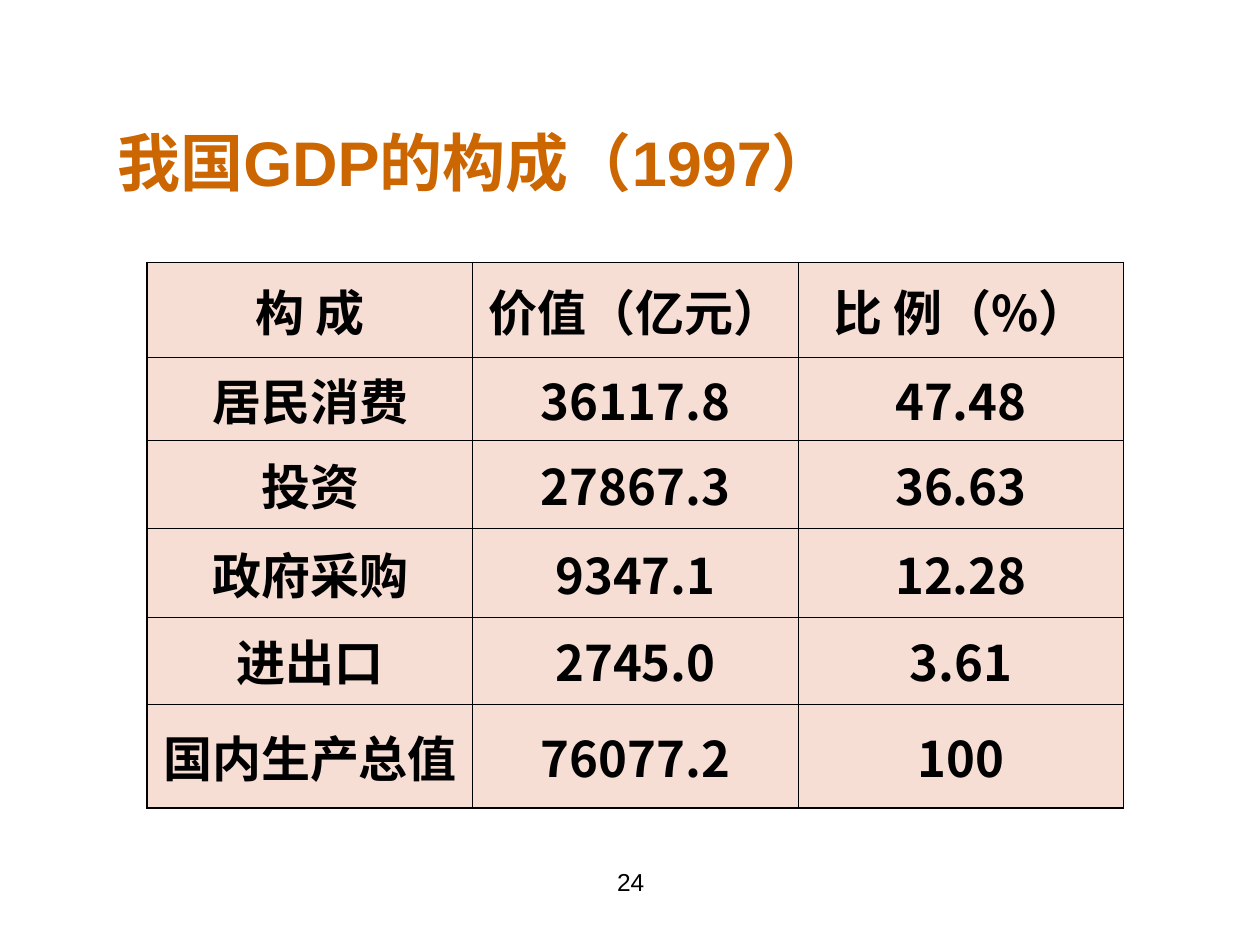
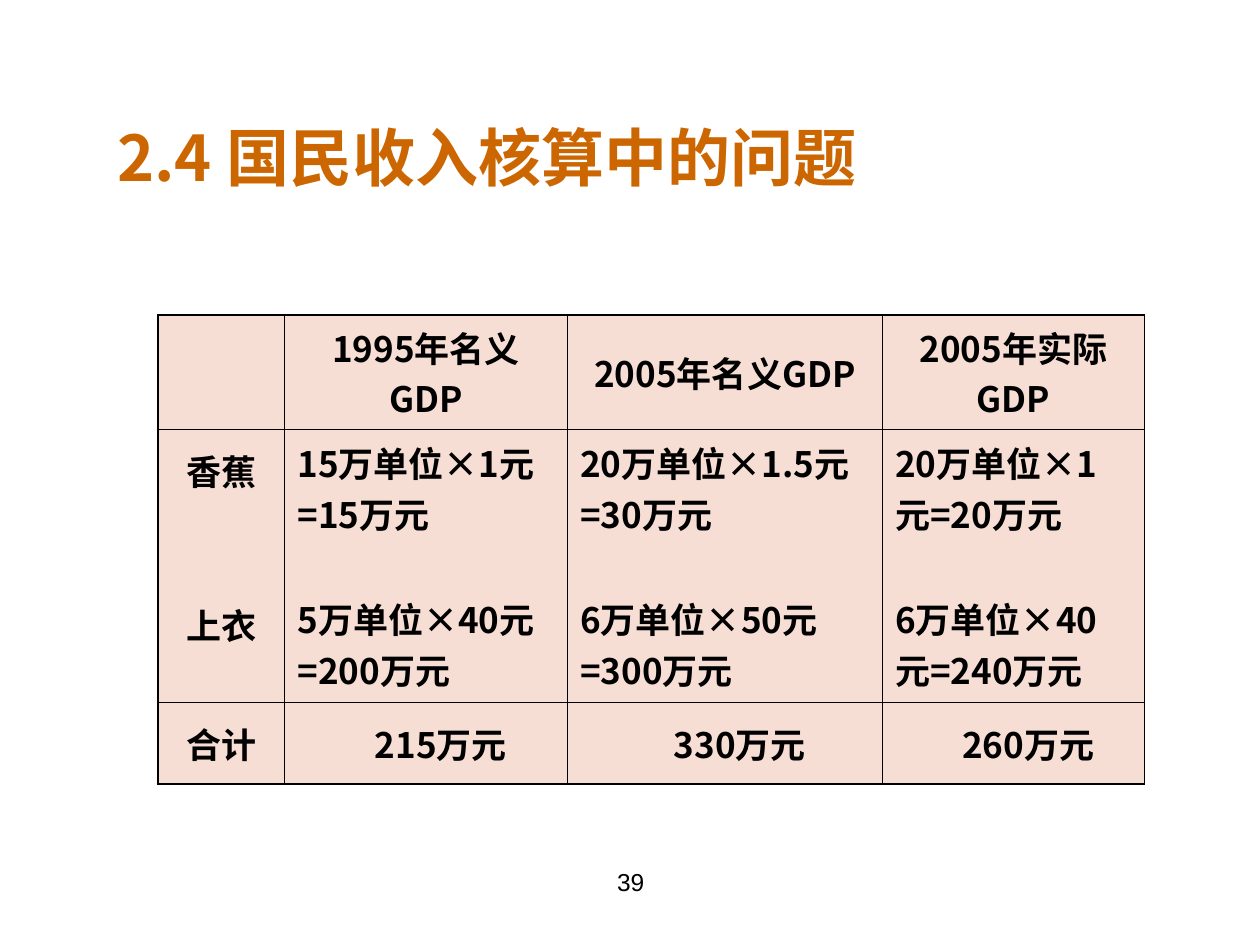
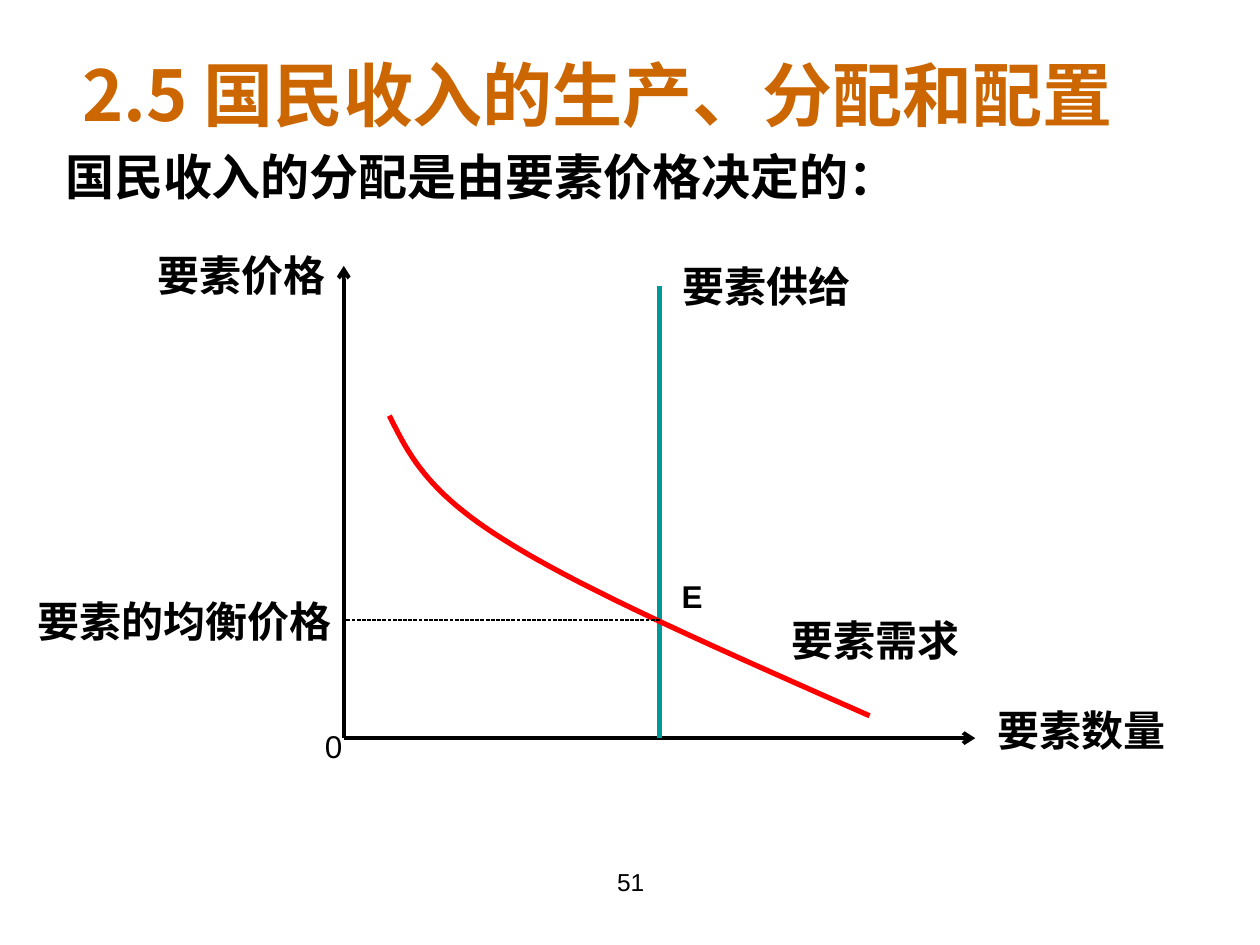
from itertools import accumulate

from lxml.etree import SubElement
from pptx import Presentation
from pptx.dml.color import RGBColor
from pptx.enum.dml import MSO_LINE
from pptx.enum.shapes import MSO_CONNECTOR
from pptx.enum.text import MSO_ANCHOR, MSO_AUTO_SIZE, PP_ALIGN
from pptx.oxml import parse_xml
from pptx.oxml.ns import nsdecls, qn
from pptx.util import Cm, Pt

LATIN = "Arial"
CHINESE = "Noto Sans CJK SC"
BLACK = "000000"
TITLE_COLOUR = "CC6600"
CELL_COLOUR = "F1BFAD"
SUPPLY_COLOUR = "009999"
DEMAND_COLOUR = "FF0000"
OUTER_RULE, INNER_RULE = 1.08, 0.45
CONTENT_LAYOUT, TITLE_LAYOUT = 1, 5


def paint(colour_format, colour):
    colour_format.rgb = RGBColor.from_string(colour)


def style(paragraph, size, font=CHINESE, colour=BLACK, bold=True,
          align=PP_ALIGN.LEFT, before=0):
    paragraph.alignment = align
    paragraph.space_before = Pt(before)
    paragraph.font.size = Pt(size)
    paragraph.font.bold = bold
    paragraph.font.name = font
    paint(paragraph.font.color, colour)
    defaults = paragraph._p.pPr.find(qn("a:defRPr"))
    SubElement(defaults, qn("a:ea")).set("typeface", CHINESE)


def place(shape, box):
    shape.left, shape.top, shape.width, shape.height = map(Cm, box)


def add_text(slide, box, text, size, anchor=MSO_ANCHOR.TOP, wrap=True, **look):
    frame = slide.shapes.add_textbox(*map(Cm, box)).text_frame
    frame.word_wrap = wrap
    frame.vertical_anchor = anchor
    frame.text = text
    style(frame.paragraphs[0], size, **look)


def add_page(deck, layout, heading, heading_box, number, size=36, font=CHINESE):
    slide = deck.slides.add_slide(deck.slide_layouts[layout])
    title = slide.shapes.title
    place(title, heading_box)
    frame = title.text_frame
    frame.text = heading
    frame.auto_size = MSO_AUTO_SIZE.NONE
    frame.vertical_anchor = MSO_ANCHOR.MIDDLE
    style(frame.paragraphs[0], size, font, TITLE_COLOUR)
    add_text(slide, (8.69, 17.35, 8.05, 1.32), number, 14, font=LATIN,
             bold=False, align=PP_ALIGN.CENTER)
    return slide


def add_borders(cell, on_edge):
    properties = cell._tc.get_or_add_tcPr()
    for position, side in enumerate("LRTB"):
        width = Pt(OUTER_RULE if on_edge[side] else INNER_RULE)
        properties.insert(position, parse_xml(
            f'<a:ln{side} {nsdecls("a")} w="{width}"><a:solidFill>'
            f'<a:srgbClr val="{BLACK}"/></a:solidFill></a:ln{side}>'))


def fill_cell(cell, text, size):
    cell.fill.solid()
    paint(cell.fill.fore_color, CELL_COLOUR)
    tint = cell._tc.tcPr.find(".//" + qn("a:srgbClr"))
    SubElement(tint, qn("a:alpha")).set("val", "50000")
    cell.vertical_anchor = MSO_ANCHOR.MIDDLE
    cell.text = text
    for paragraph in cell.text_frame.paragraphs:
        style(paragraph, size, align=PP_ALIGN.CENTER)


def add_grid(slide, left, top, widths, heights, rows, size):
    table = slide.shapes.add_table(
        len(heights), len(widths), Cm(left), Cm(top),
        Cm(sum(widths)), Cm(sum(heights))).table
    table.first_row = table.horz_banding = False
    for column, width in zip(table.columns, widths):
        column.width = Cm(width)
    for row, height in zip(table.rows, heights):
        row.height = Cm(height)
    last_row, last_column = len(heights) - 1, len(widths) - 1
    for r, row in enumerate(rows):
        for c, text in enumerate(row):
            cell = table.cell(r, c)
            fill_cell(cell, text, size)
            add_borders(cell, {"L": c == 0, "R": c == last_column,
                               "T": r == 0, "B": r == last_row})
    return table


def composition_page(deck):
    slide = add_page(deck, TITLE_LAYOUT, "我国GDP的构成（1997）",
                     (2.11, 2.34, 20.95, 1.83), "24", font=LATIN)
    rows = [
        ("构 成", "价值（亿元）", "比 例（%）"),
        ("居民消费", "36117.8", "47.48"),
        ("投资", "27867.3", "36.63"),
        ("政府采购", "9347.1", "12.28"),
        ("进出口", "2745.0", "3.61"),
        ("国内生产总值", "76077.2", "100"),
    ]
    add_grid(slide, 2.97, 5.29, [6.56] * 3,
             [1.91, 1.68, 1.78, 1.78, 1.75, 2.1], rows, 28)


def real_gdp_page(deck):
    slide = add_page(deck, TITLE_LAYOUT, "2.4 国民收入核算中的问题",
                     (2.11, 2.05, 19.9, 2.2), "39")
    rows = [
        ("", "1995年名义GDP", "2005年名义GDP", "2005年实际GDP"),
        ("香蕉\n上衣",
         "15万单位×1元=15万元\n5万单位×40元=200万元",
         "20万单位×1.5元=30万元\n6万单位×50元=300万元",
         "20万单位×1元=20万元\n6万单位×40元=240万元"),
        ("合计", "215万元", "330万元", "260万元"),
    ]
    table = add_grid(slide, 3.18, 6.35, [2.56, 5.7, 6.35, 5.28],
                     [2.3, 5.5, 1.65], rows, 20)
    goods = table.cell(1, 0)
    goods.margin_bottom = Cm(0.86)
    goods.text_frame.paragraphs[1].space_before = Pt(59)
    for column in range(1, 4):
        sums = table.cell(1, column).text_frame.paragraphs
        for line in sums:
            line.alignment = PP_ALIGN.LEFT
        sums[1].space_before = Pt(31)
        table.cell(2, column).margin_left = Cm(0.85)


def add_rule(slide, start, end, width, colour=BLACK, arrow=False, dash=None):
    rule = slide.shapes.add_connector(
        MSO_CONNECTOR.STRAIGHT, *map(Cm, (*start, *end)))
    rule.line.width = Pt(width)
    paint(rule.line.color, colour)
    if dash:
        rule.line.dash_style = dash
    if arrow:
        tip = SubElement(rule.line._get_or_add_ln(), qn("a:tailEnd"))
        tip.set("type", "arrow")
    SubElement(rule._element.spPr, qn("a:effectLst"))


def bezier(p0, p1, p2, p3, steps=24):
    for step in range(1, steps + 1):
        t = step / steps
        u = 1 - t
        yield tuple(u**3 * a + 3 * u * u * t * b + 3 * u * t * t * c + t**3 * d
                    for a, b, c, d in zip(p0, p1, p2, p3))


def add_demand(slide, points):
    route = [*bezier(*points[:4]), *bezier(*points[3:])]
    builder = slide.shapes.build_freeform(*map(Cm, points[0]))
    builder.add_line_segments([(Cm(x), Cm(y)) for x, y in route], close=False)
    demand = builder.convert_to_shape()
    demand.shadow.inherit = False
    demand.fill.background()
    demand.line.width = Pt(3)
    paint(demand.line.color, DEMAND_COLOUR)


def factor_market(slide, left, top):
    def at(x, y):
        return left + x, top + y

    axis_x, axis_y, supply_x, price_y = 6.43, 9.98, 12.8, 7.6
    origin = at(axis_x, axis_y)
    add_rule(slide, origin, at(19.16, axis_y), 2.25, arrow=True)
    add_rule(slide, origin, at(axis_x, 0.46), 2.25, arrow=True)
    add_rule(slide, at(supply_x, 0.87), at(supply_x, axis_y), 3, SUPPLY_COLOUR)
    add_demand(slide, [at(*point) for point in (
        (7.35, 3.48), (7.73, 4.24), (8.09, 5.01), (9.69, 6),
        (11.29, 7.01), (14.16, 8.26), (17.03, 9.53))])
    add_rule(slide, at(supply_x, price_y), at(axis_x, price_y), 0.75,
             dash=MSO_LINE.SQUARE_DOT)

    names = [
        ("要素数量", 19.36, 9.2, 3.89),
        ("要素需求", 15.2, 7.39, 3.89),
        ("要素供给", 13.01, 0.26, 3.89),
        ("要素的均衡价格", 0.01, 7.01, 6.43),
        ("要素价格", 2.42, 0.03, 3.89),
    ]
    for name, x, y, width in names:
        add_text(slide, (*at(x, y), width, 1.22), name, 24,
                 MSO_ANCHOR.MIDDLE, False, font=LATIN)
    for mark, x, y, bold in (("0", 5.8, 9.63, False), ("E", 12.99, 6.61, True)):
        add_text(slide, (*at(x, y), 0.88, 1.02), mark, 18,
                 MSO_ANCHOR.MIDDLE, False, font=LATIN, bold=bold)


def distribution_page(deck):
    slide = add_page(deck, CONTENT_LAYOUT, "2.5 国民收入的生产、分配和配置",
                     (1.4, 0.58, 22.86, 2.62), "51", size=40)
    claim = slide.placeholders[1]
    place(claim, (0.58, 2.82, 23.65, 1.6))
    frame = claim.text_frame
    frame.text = "国民收入的分配是由要素价格决定的："
    frame.auto_size = MSO_AUTO_SIZE.NONE
    properties = frame.paragraphs[0]._p.get_or_add_pPr()
    properties.set("marL", str(Cm(0.48)))
    properties.set("indent", "0")
    SubElement(properties, qn("a:buNone"))
    style(frame.paragraphs[0], 28)
    factor_market(slide, 0.5, 4.9)


def main():
    deck = Presentation()
    deck.slide_width, deck.slide_height = Cm(25.4), Cm(19.05)
    composition_page(deck)
    real_gdp_page(deck)
    distribution_page(deck)
    deck.save("out.pptx")


if __name__ == "__main__":
    main()
